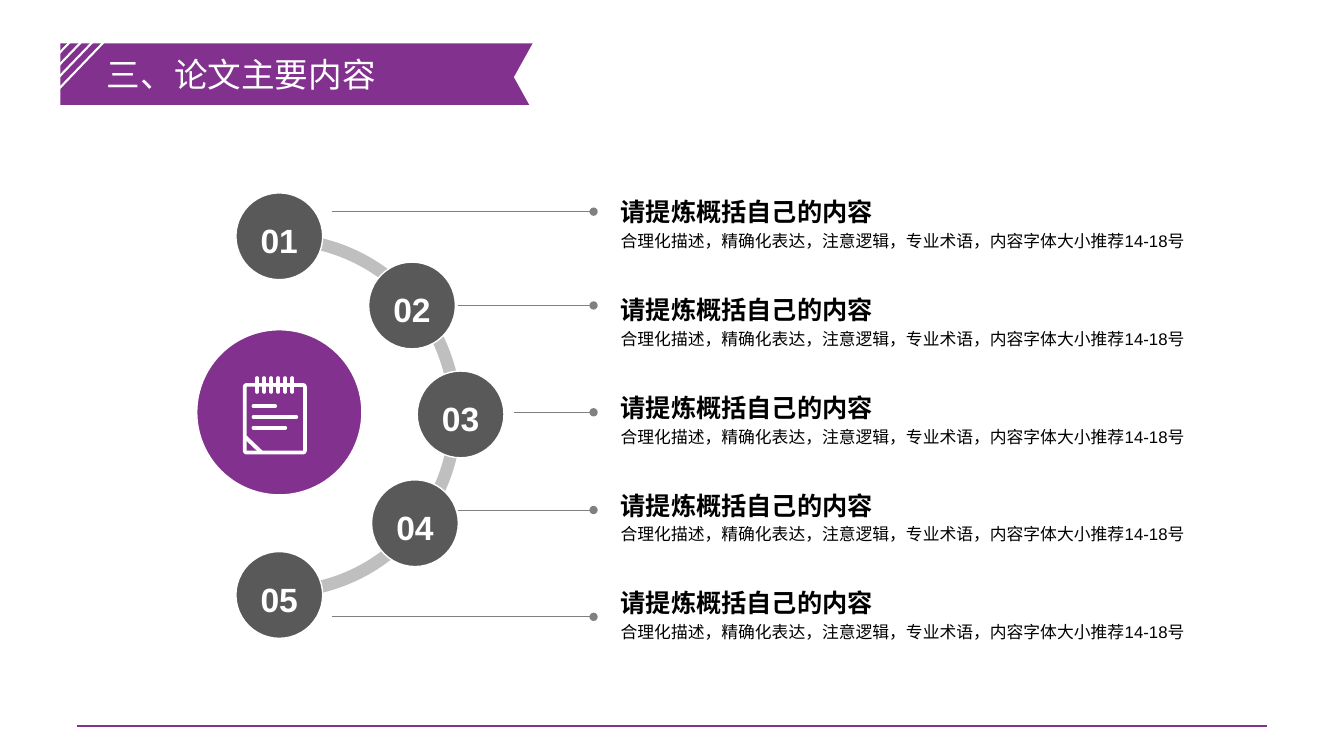
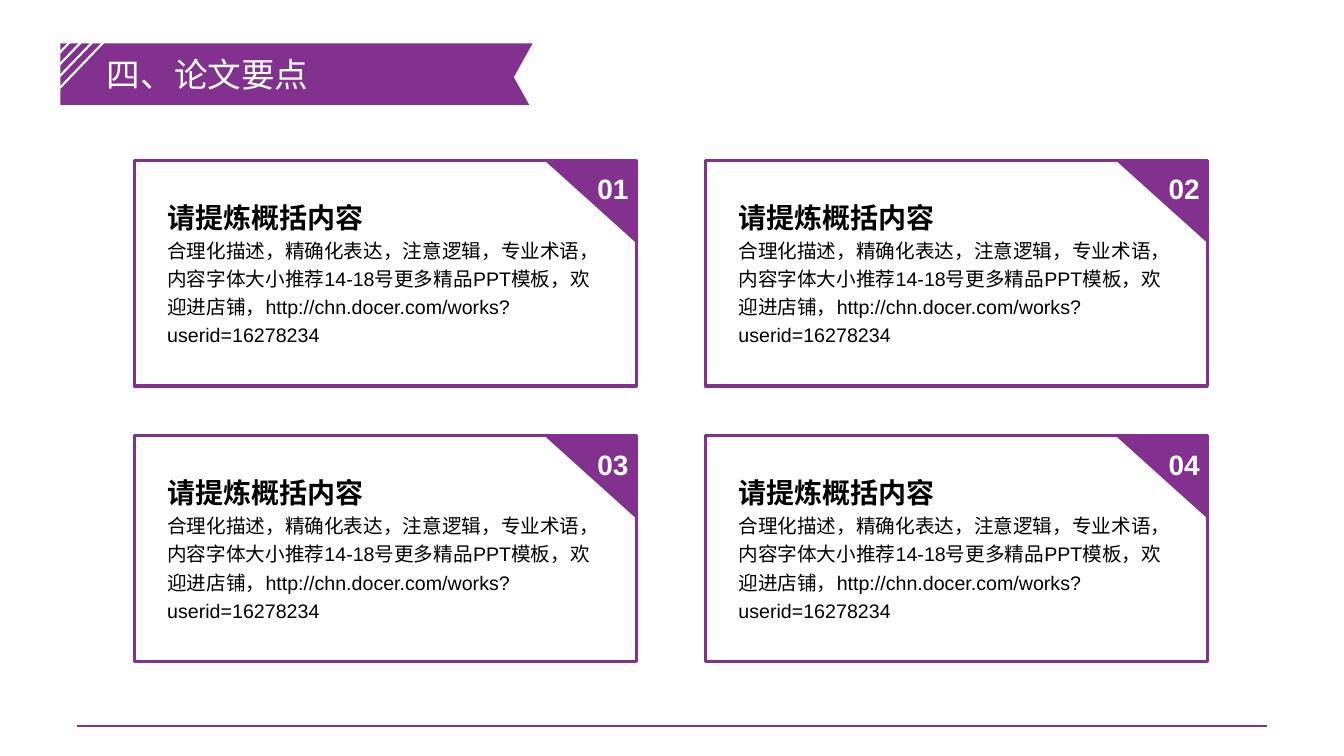
from lxml import etree
from pptx import Presentation
from pptx.dml.color import RGBColor
from pptx.enum.shapes import MSO_CONNECTOR, MSO_SHAPE as Shape
from pptx.enum.text import MSO_ANCHOR as Anchor, PP_ALIGN as Align
from pptx.oxml.ns import qn
from pptx.util import Pt

COLORS = {"purple": "82318E", "white": "FFFFFF", "black": "000000",
          "dark": "595959", "ring": "BFBFBF", "leader": "808080"}
FONT = "Arial"

CONTENT_TITLE = "三、论文主要内容"
CONTENT_TEXT = [("请提炼概括自己的内容", 18, True),
                ("合理化描述，精确化表达，注意逻辑，专业术语，内容字体大小推荐14-18号", 12, False)]
# label, circle centre x and y, leader start x, leader y
STEPS = [("01", 199.5, 168.8, 236.9, 151.2),
         ("02", 294.3, 218.2, 326.9, 218.2),
         ("03", 329, 296, 367.2, 294.5),
         ("04", 296.4, 373.7, 326.9, 364.3),
         ("05", 199.5, 425, 236.9, 440.6)]

POINTS_TITLE = "四、论文要点"
POINTS_TEXT = [("请提炼概括内容", 20, True),
               ("合理化描述，精确化表达，注意逻辑，专业术语，内容字体大小推荐14-18号"
                "更多精品PPT模板，欢迎进店铺，"
                "http://chn.docer.com/works?userid=16278234", 14, False)]
CARD_LABELS = ["01", "02", "03", "04"]


def rgb(name):
    return RGBColor.from_string(COLORS[name])


def add_figure(shapes, kind, left, top, width, height, fill=None, line=None, weight=1):
    figure = shapes.add_shape(kind, Pt(left), Pt(top), Pt(width), Pt(height))
    figure.shadow.inherit = False
    if fill:
        figure.fill.solid()
        figure.fill.fore_color.rgb = rgb(fill)
    else:
        figure.fill.background()
    if line:
        figure.line.color.rgb = rgb(line)
        figure.line.width = Pt(weight)
    else:
        figure.line.fill.background()
    return figure


def add_circle(shapes, x, y, size, fill):
    return add_figure(shapes, Shape.OVAL, x - size / 2, y - size / 2, size, size, fill, "white")


def add_line(shapes, x1, y1, x2, y2, color, weight, cap="flat", tail=None):
    line = shapes.add_connector(MSO_CONNECTOR.STRAIGHT, Pt(x1), Pt(y1), Pt(x2), Pt(y2))
    line.line.color.rgb = rgb(color)
    line.line.width = Pt(weight)
    properties = line.element.spPr
    outline = properties.find(qn("a:ln"))
    outline.set("cap", cap)
    if tail:
        etree.SubElement(outline, qn("a:tailEnd"), type=tail)
    etree.SubElement(properties, qn("a:effectLst"))


def write(frame, lines, color, align=Align.LEFT, spacing=1.2):
    """Fill a text frame with (text, size, bold) paragraphs."""
    frame.word_wrap = True
    for index, (text, size, bold) in enumerate(lines):
        para = frame.add_paragraph() if index else frame.paragraphs[0]
        para.text = text
        para.alignment = align
        para.line_spacing = spacing
        para.font.name = FONT
        para.font.size = Pt(size)
        para.font.bold = bold
        para.font.color.rgb = rgb(color)


def add_text(shapes, left, top, width, height, lines, color="black", align=Align.LEFT):
    box = shapes.add_textbox(Pt(left), Pt(top), Pt(width), Pt(height))
    write(box.text_frame, lines, color, align)


def add_page(deck, layout, text):
    page = deck.slides.add_slide(layout)
    title = page.shapes.title
    title.left, title.top, title.width, title.height = Pt(69.1), Pt(34.6), Pt(280), Pt(36)
    title.text_frame.vertical_anchor = Anchor.MIDDLE
    write(title.text_frame, [(text, 24, False)], "white", spacing=1)
    return page


def decorate_layout(layout, page):
    """Draw the ribbon and footer rule on a page, then move them to its layout."""
    for holder in list(layout.placeholders):
        if holder.placeholder_format.idx != 0:
            layout.shapes.element.remove(holder.element)
    shapes = page.shapes
    add_line(shapes, 54.7, 518.4, 905, 518.4, "purple", 1.5)
    add_figure(shapes, Shape.RECTANGLE, 43.2, 31, 342.7, 44, "purple")
    notch = add_figure(shapes, Shape.ISOSCELES_TRIANGLE, 336.2, 43.2, 85.7, 23.8, "white")
    notch.rotation = 270
    for index in range(4):
        x, y = 69.1 + 6 * index, 10.1 + 2.16 * index
        add_line(shapes, x, y, x - 49, y + 51, "white", 1.5)
    for shape in list(shapes):
        if not shape.is_placeholder:
            layout.placeholders[0].element.addprevious(shape.element)


def add_notepad(page):
    shapes = page.shapes.add_group_shape().shapes
    sheet = add_figure(shapes, Shape.ROUNDED_RECTANGLE, 174.8, 275, 43, 48.3,
                       line="white", weight=2.6)
    sheet.adjustments[0] = 0.03
    for index in range(6):
        x = 183.6 + 5.04 * index
        add_line(shapes, x, 270, x, 280, "white", 2.6, "rnd")
    for y, right in [(290.2, 196.6), (297.9, 211.7), (305.5, 203.8)]:
        add_line(shapes, 181, y, right, y, "white", 2.6, "rnd")
    add_line(shapes, 175, 312, 186.5, 322.9, "white", 2.8)


def fill_contents(page):
    shapes = page.shapes
    ring = add_figure(shapes, Shape.BLOCK_ARC, 69.1, 166.5, 260.6, 260.6, "ring")
    # angles are 270 and 90 degrees, in units of 100000 / 60000 degree
    for index, value in enumerate((162, 54, 0.034)):
        ring.adjustments[index] = value
    add_circle(shapes, 199.5, 294.5, 118, "purple")
    add_notepad(page)
    for index, (label, x, y, leader_x, leader_y) in enumerate(STEPS):
        frame = add_circle(shapes, x, y, 62, "dark").text_frame
        frame.margin_left = frame.margin_right = 0
        frame.vertical_anchor = Anchor.MIDDLE
        write(frame, [(label, 24, True)], "white", Align.CENTER)
        add_line(shapes, leader_x, leader_y, 424, leader_y, "leader", 0.5, tail="oval")
        add_text(shapes, 436.3, 132.5 + 69.84 * index, 446.4, 49.7, CONTENT_TEXT)


def fill_points(page):
    shapes = page.shapes
    width, height = 358.6, 161.3
    corner_width, corner_height = 65.5, 59
    for index, label in enumerate(CARD_LABELS):
        row, column = divmod(index, 2)
        left, top = 95.8 + 408 * column, 114.5 + 196.8 * row
        add_figure(shapes, Shape.RECTANGLE, left, top, width, height, line="purple", weight=2.25)
        add_text(shapes, left + 16.6, top + 20.2, 326.2, 116, POINTS_TEXT)
        corner = add_figure(shapes, Shape.RIGHT_TRIANGLE, left + width - corner_width, top,
                            corner_width, corner_height, "purple")
        corner.rotation = 180
        add_text(shapes, left + 319, top, 46, 34, [(label, 20, True)], "white", Align.CENTER)


def main():
    deck = Presentation()
    deck.slide_width, deck.slide_height = Pt(960), Pt(540)
    layout = deck.slide_layouts[5]
    contents = add_page(deck, layout, CONTENT_TITLE)
    decorate_layout(layout, contents)
    fill_contents(contents)
    fill_points(add_page(deck, layout, POINTS_TITLE))
    deck.save("out.pptx")


if __name__ == "__main__":
    main()
